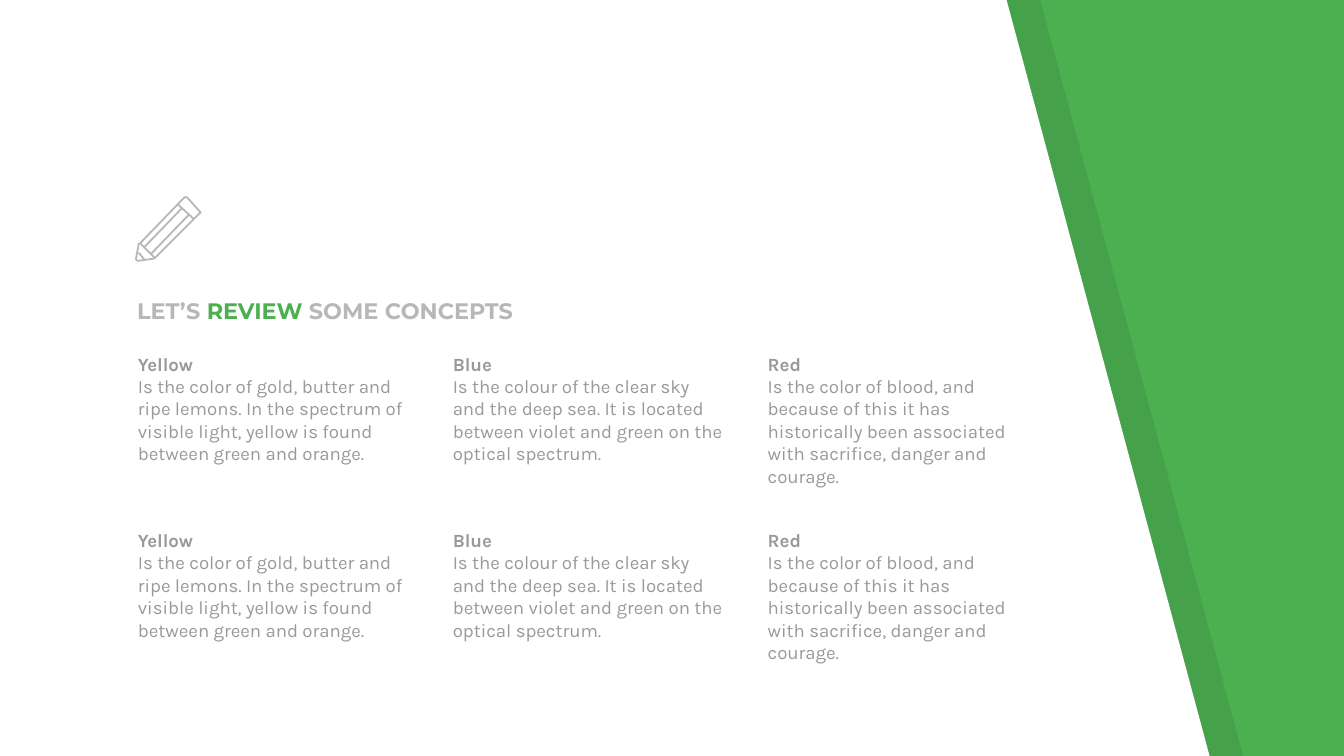
from collections import namedtuple

from lxml import etree
from pptx import Presentation, util as u
from pptx.dml.color import RGBColor
from pptx.enum import shapes, text
from pptx.oxml.ns import qn

GREEN = RGBColor(0x4C, 0xAF, 0x50)
WHITE = RGBColor(0xFF, 0xFF, 0xFF)
BLACK = RGBColor(0, 0, 0)
SILVER = RGBColor(0xB7, 0xB7, 0xB7)
GRAY = RGBColor(0x99, 0x99, 0x99)

# The slide is a grid 100 units wide; every Box is given in these units.
UNIT = u.Inches(0.1)
Box = namedtuple("Box", "left top width height")
SLIDE = Box(0, 0, 100, 56.25)

CONCEPTS = [
    ("Yellow", "Is the color of gold, butter and ripe lemons. In the spectrum "
               "of visible light, yellow is found between green and orange."),
    ("Blue", "Is the colour of the clear sky and the deep sea. It is located "
             "between violet and green on the optical spectrum."),
    ("Red", "Is the color of blood, and because of this it has historically "
            "been associated with sacrifice, danger and courage."),
]


def emu(*lengths):
    return [round(length * UNIT) for length in lengths]


def place(box, points, size):
    """Turn points on a size-by-size grid into slide positions inside box."""
    return [emu(box.left + x * box.width / size, box.top + y * box.height / size)
            for x, y in points]


def add_outline(slide, points, closed=True):
    builder = slide.shapes.build_freeform(*points[0], scale=1.0)
    builder.add_line_segments(points[1:], close=closed)
    outline = builder.convert_to_shape()
    outline.shadow.inherit = False
    return outline


def add_run(paragraph, words, font="Karla", size=10, color=GRAY, bold=False):
    run = paragraph.add_run()
    run.text = words
    run.font.name = font
    run.font.size = u.Pt(size)
    run.font.color.rgb = color
    run.font.bold = bold


def set_frame(frame, anchor):
    frame.word_wrap = True
    frame.auto_size = text.MSO_AUTO_SIZE.NONE
    frame.vertical_anchor = anchor
    frame.margin_left = frame.margin_right = u.Inches(0.1)
    frame.margin_top = frame.margin_bottom = u.Inches(0.1)


def add_slanted_panel(slide, box):
    """White panel with a slanted right edge and a dark band beside it."""
    slant, band = 15.1, 2.5
    fill = slide.background.fill
    fill.solid()
    fill.fore_color.rgb = GREEN
    bottom = box.top + box.height
    right = box.left + box.width
    for shift, color in ((band, BLACK), (0, WHITE)):
        corners = [(box.left + shift, box.top), (box.left + shift, bottom),
                   (right + shift, bottom), (right + shift - slant, box.top)]
        panel = add_outline(slide, [emu(*corner) for corner in corners])
        panel.fill.solid()
        panel.fill.fore_color.rgb = color
        panel.line.fill.background()
        if shift:
            tint = panel._element.spPr.find(qn("a:solidFill"))[0]
            etree.SubElement(tint, qn("a:alpha")).set("val", "7000")


def add_heading(slide, box):
    heading = slide.shapes.title
    # The placeholder starts at the back; bring it in front of the panel.
    slide.shapes._spTree.append(heading._element)
    heading.left, heading.top, heading.width, heading.height = emu(*box)
    set_frame(heading.text_frame, text.MSO_ANCHOR.BOTTOM)
    line = heading.text_frame.paragraphs[0]
    line.alignment = text.PP_ALIGN.LEFT
    for words, color in (("LET’S ", SILVER), ("REVIEW", GREEN),
                         (" SOME CONCEPTS", SILVER)):
        add_run(line, words, font="Montserrat", size=12, color=color, bold=True)


def add_concept(slide, box, name, description):
    frame = slide.shapes.add_textbox(*emu(*box)).text_frame
    set_frame(frame, text.MSO_ANCHOR.TOP)
    add_run(frame.paragraphs[0], name, bold=True)
    add_run(frame.add_paragraph(), description)


def add_concept_grid(slide, box, rows=2):
    """Repeat the concepts in rows; box is the first cell."""
    column_step, row_step = 23.43, 13.13
    for row in range(rows):
        for column, (name, description) in enumerate(CONCEPTS):
            cell = box._replace(left=box.left + column * column_step,
                                top=box.top + row * row_step)
            add_concept(slide, cell, name, description)


def add_pencil(slide, box):
    size = 48
    eraser = [(47, 10), (39, 1), (38, 0), (37, -0.3), (36, 0), (31, 5),
              (43, 16), (47, 12), (48, 11.5), (48, 11)]
    body = [(31, 5), (3, 34), (2, 34.5), (0, 45), (0, 46), (1, 47), (2, 47),
            (13, 45.5), (14, 45), (43, 16)]
    edges = [((39, 13), (11, 42)), ((34, 8), (6, 37)),
             ((2, 41), (6, 46)), ((3, 34), (14, 45))]

    strokes = []
    for points, closed in ((eraser, True), (body, False)):
        part = add_outline(slide, place(box, points, size), closed)
        part.fill.background()
        strokes.append(part)
    for edge in edges:
        start, end = place(box, edge, size)
        stroke = slide.shapes.add_connector(
            shapes.MSO_CONNECTOR.STRAIGHT, *start, *end)
        etree.SubElement(stroke._element.spPr, qn("a:effectLst"))
        strokes.append(stroke)
    for stroke in strokes:
        stroke.line.color.rgb = SILVER
        stroke.line.width = u.Pt(0.96)


def main():
    deck = Presentation()
    deck.slide_width, deck.slide_height = emu(SLIDE.width, SLIDE.height)
    slide = deck.slides.add_slide(deck.slide_layouts.get_by_name("Title Only"))
    add_slanted_panel(slide, SLIDE._replace(width=90))
    add_heading(slide, Box(9.2, 20.6, 52.5, 4.5))
    add_concept_grid(slide, Box(9.28, 25.22, 22.3, 14.3))
    add_pencil(slide, Box(10.13, 14.7, 4.8, 4.8))
    deck.save("out.pptx")


if __name__ == "__main__":
    main()
